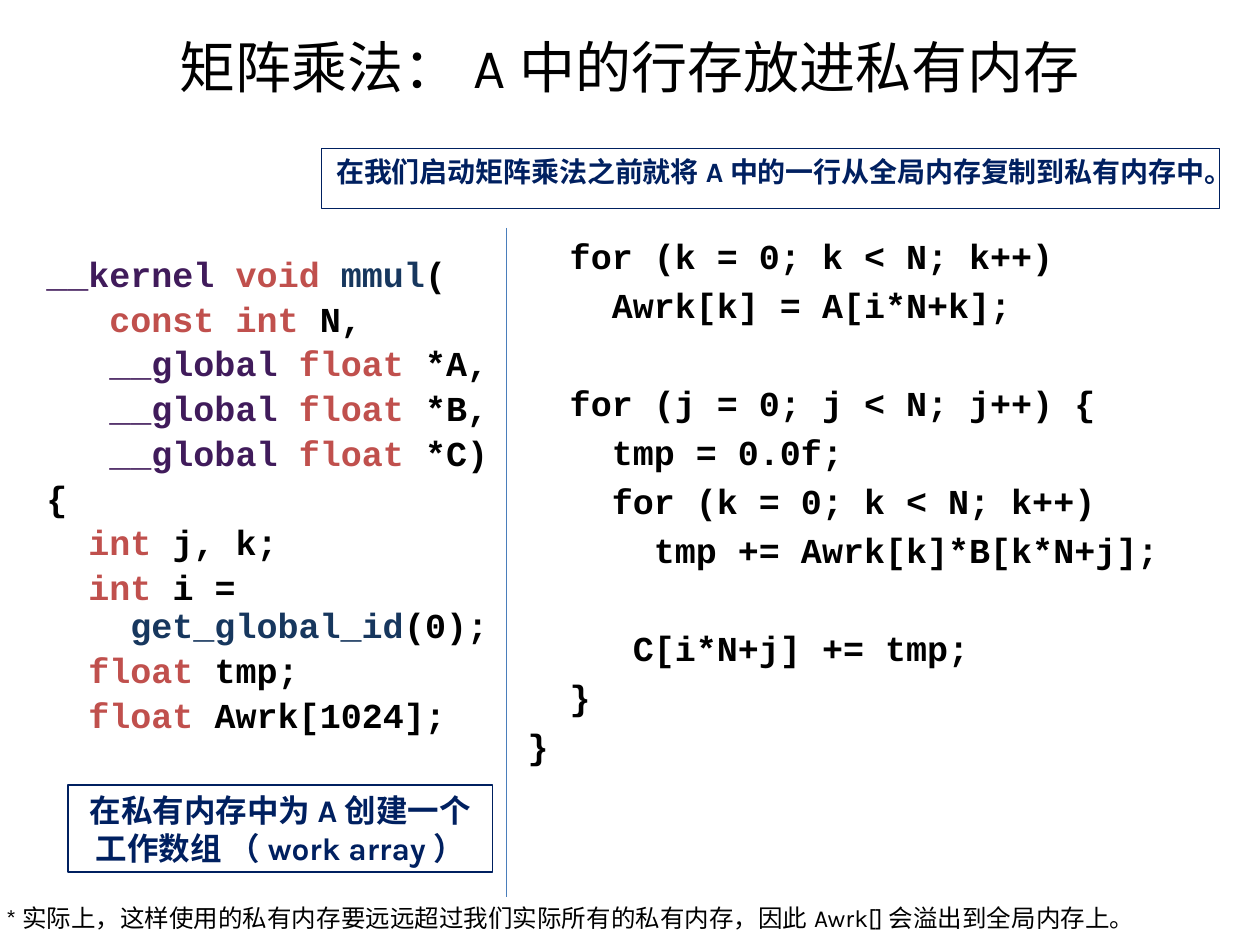
from dataclasses import dataclass

from pptx import Presentation
from pptx.dml.color import RGBColor
from pptx.enum import shapes, text
from pptx.oxml import ns, xmlchemy
from pptx.util import Pt


@dataclass(frozen=True)
class Theme:
    body_font: str = "Karla"
    code_font: str = "Courier New"
    black: str = "000000"
    qualifier: str = "401B5B"
    keyword: str = "C0504D"
    function: str = "17375E"
    navy: str = "002060"
    divider: str = "4A7EBB"
    title_size: int = 32
    code_size: int = 20
    work_note_size: int = 18
    copy_note_size: int = 16
    footnote_size: int = 14
    code_gap: int = 4
    code_blank: int = 28
    hairline: float = 0.75


T = Theme()
Q, K, F, B = T.qualifier, T.keyword, T.function, T.black

# Each line is a list of (text, colour) pieces
KERNEL_HEAD = [
    [("__kernel ", Q), ("void ", K), ("mmul", F), ("(", B)],
    [("   const int ", K), ("N,", B)],
    *[[("   __global ", Q), ("float", K), (f" *{name}", B)]
      for name in ("A,", "B,", "C)")],
    [("{", B)],
    [("  int", K), (" j, k;", B)],
    [("  int ", K), ("i =", B), ("\n", B), ("    get_global_id", F), ("(0);", B)],
    [("  float ", K), ("tmp;", B)],
    [("  float ", K), ("Awrk[1024];", B)],
]

# An empty string marks a blank line of code
KERNEL_BODY = [
    "  for (k = 0; k < N; k++)",
    "    Awrk[k] = A[i*N+k];",
    "",
    "  for (j = 0; j < N; j++) {",
    "    tmp = 0.0f;",
    "    for (k = 0; k < N; k++)",
    "      tmp += Awrk[k]*B[k*N+j];",
    "",
    "     C[i*N+j] += tmp;",
    "  }",
    "}",
]


def points(*lengths):
    return [Pt(v) for v in lengths]


def style(r, font, size, color, bold=False):
    r.font.name = font
    r.font.size = Pt(size)
    r.font.bold = bold
    r.font.color.rgb = RGBColor.from_string(color)


def set_text(tf, words, size, color, bold=False, align=text.PP_ALIGN.CENTER):
    tf.text = words
    p = tf.paragraphs[0]
    p.alignment = align
    style(p.runs[0], T.body_font, size, color, bold)


def add_title(s, words, box):
    sp = s.shapes.title
    sp.left, sp.top, sp.width, sp.height = points(*box)
    sp.text_frame.vertical_anchor = text.MSO_ANCHOR.MIDDLE
    set_text(sp.text_frame, words, T.title_size, T.black)


def add_code(s, lines, box, line_spacing=1.0):
    tf = s.shapes.add_textbox(*points(*box)).text_frame
    tf.word_wrap = True
    p, gap = tf.paragraphs[0], 0
    for i, pieces in enumerate(lines):
        if not pieces:
            gap += T.code_blank
            continue
        if i:
            p = tf.add_paragraph()
        p.line_spacing = line_spacing
        p.space_before = Pt(gap)
        gap = T.code_gap
        for words, color in pieces:
            if words == "\n":
                p.add_line_break()
                continue
            r = p.add_run()
            r.text = words
            style(r, T.code_font, T.code_size, color, bold=True)


def add_note(s, words, box, size):
    sp = s.shapes.add_shape(shapes.MSO_SHAPE.RECTANGLE, *points(*box))
    sp.shadow.inherit = False
    sp.fill.background()
    sp.line.color.rgb = RGBColor.from_string(T.navy)
    sp.line.width = Pt(T.hairline)
    tf = sp.text_frame
    tf.word_wrap = True
    tf.vertical_anchor = text.MSO_ANCHOR.TOP
    set_text(tf, words, size, T.navy, bold=True)


def add_divider(s, x, top, bottom):
    line = s.shapes.add_connector(
        shapes.MSO_CONNECTOR.STRAIGHT, *points(x, top, x, bottom))
    line.line.color.rgb = RGBColor.from_string(T.divider)
    line.line.width = Pt(T.hairline)
    line._element.spPr.append(xmlchemy.OxmlElement("a:effectLst"))


def add_footnote(s, words, box):
    tf = s.shapes.add_textbox(*points(*box)).text_frame
    tf.word_wrap = False
    set_text(tf, words, T.footnote_size, T.black, align=text.PP_ALIGN.LEFT)


def main():
    prs = Presentation()
    prs.slide_width, prs.slide_height = points(720, 540)
    s = prs.slides.add_slide(prs.slide_layouts[5])

    # Title
    add_title(s, "矩阵乘法：A中的行存放进私有内存", (8.6, -7.2, 702.7, 90))

    # Two columns of code with a divider
    add_code(s, KERNEL_HEAD, (19.4, 143.3, 275, 294.5), line_spacing=0.9)
    body = [[(line, T.black)] if line else [] for line in KERNEL_BODY]
    add_code(s, body, (294.5, 130.3, 413.3, 348.5))
    add_divider(s, 289.4, 130.3, 512.6)

    # Framed notes
    add_note(s, "在我们启动矩阵乘法之前就将A中的一行从全局内存复制到私有内存中。",
             (183.6, 85, 513.4, 34.3), T.copy_note_size)
    add_note(s, "在私有内存中为A创建一个工作数组 （work array）",
             (38.9, 448.6, 242.6, 49.7), T.work_note_size)

    # Footnote
    add_footnote(s, "*实际上，这样使用的私有内存要远远超过我们实际所有的私有内存，"
                    "因此Awrk[]会溢出到全局内存上。", (-3.6, 512.6, 808.6, 23.8))

    prs.save("out.pptx")


if __name__ == "__main__":
    main()
